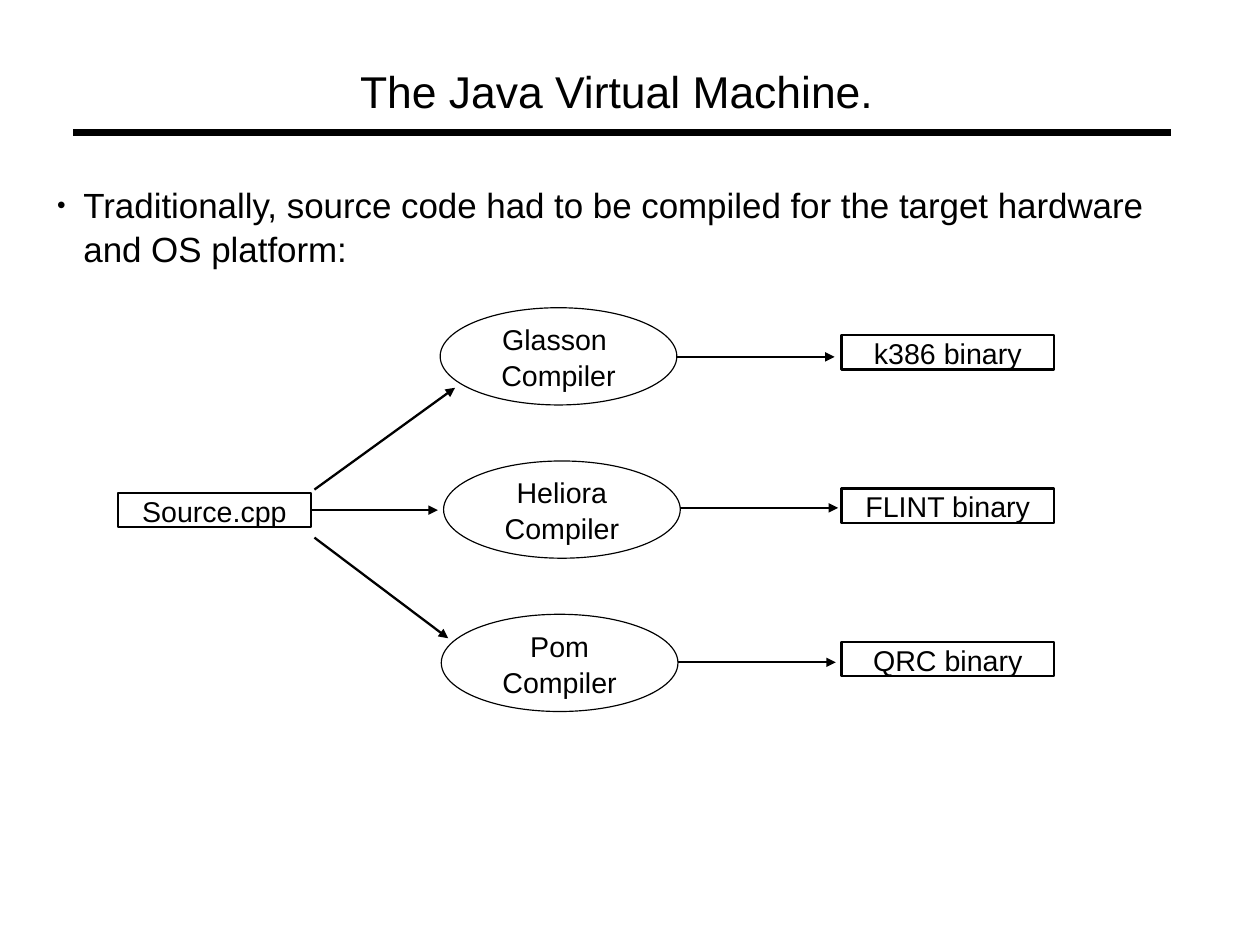
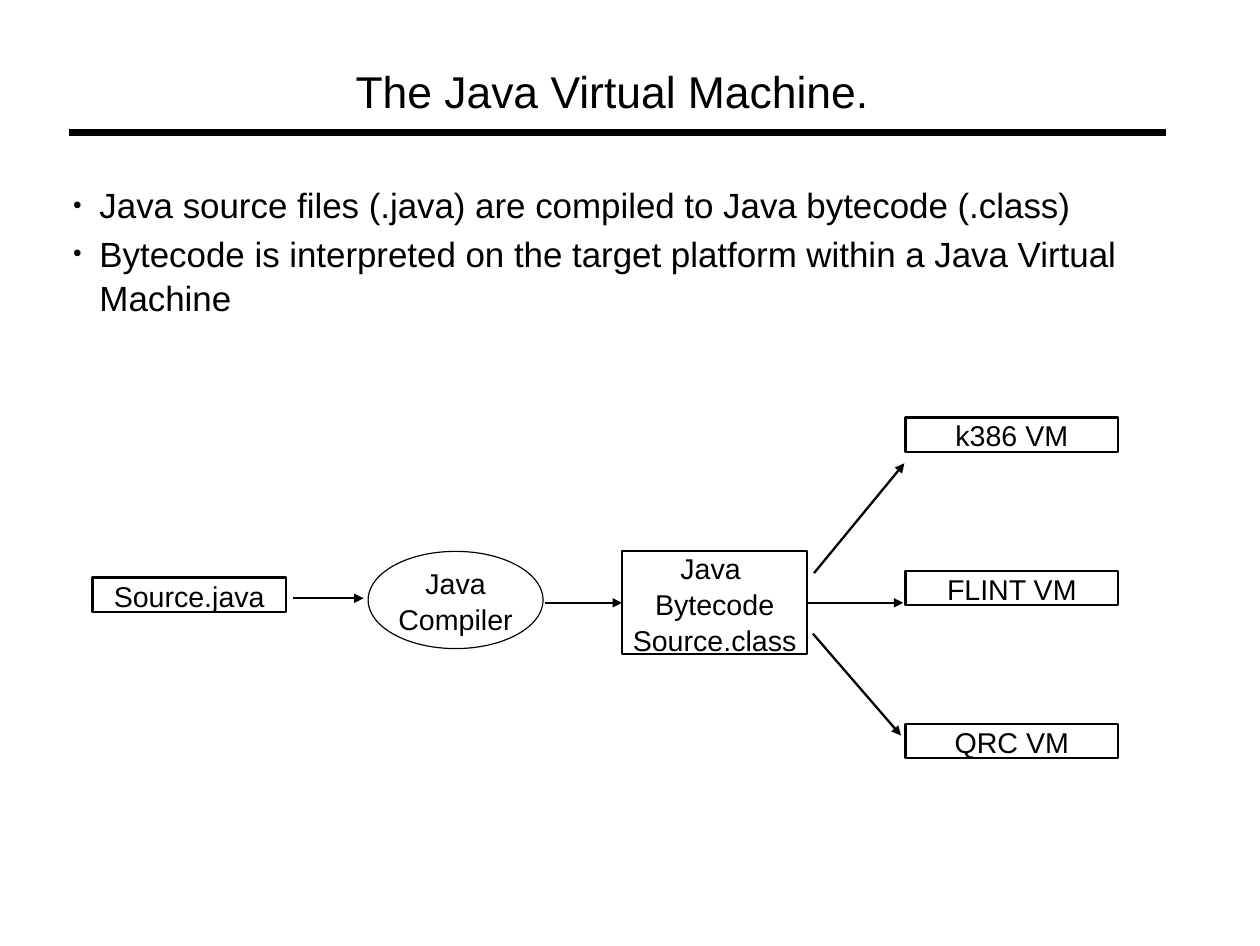
from lxml.etree import SubElement
from pptx import Presentation
from pptx.dml.color import RGBColor
from pptx.enum.shapes import MSO_CONNECTOR as Connector, MSO_SHAPE as Shape
from pptx.enum.text import MSO_ANCHOR as Anchor, MSO_AUTO_SIZE as AutoSize, PP_ALIGN as Align
from pptx.oxml.ns import qn
from pptx.util import Inches, Pt

BLACK = RGBColor(0x00, 0x00, 0x00)
WHITE = RGBColor(0xFF, 0xFF, 0xFF)
FONT = "Arial"
TITLE_ONLY = 5
LEFT, RIGHT = 1, 3  # connection sites of a rectangle

TITLE = {"size": Pt(28), "name": FONT, "bold": False}
BODY = {"size": Pt(22), "name": FONT}
LABEL = {"size": Pt(18), "name": FONT}
FRAME = {"auto_size": AutoSize.NONE, "margin_left": 0, "margin_right": 0,
         "margin_top": 0, "margin_bottom": 0}
LINE_SPACING = 1.05
THIN, MEDIUM, THICK = 0.75, 1.45, 4.31

BOX_HEIGHT = 0.3
OVAL_HEIGHT = 0.85
ROW_GAP = 1.34


class SlideBuilder:
    """Holds the shared style and the slide being filled."""

    def __init__(self, deck):
        self.deck = deck
        self.slide = None

    def fill_text(self, shape, lines, font, align, anchor, wrap):
        frame = shape.text_frame
        settings = {**FRAME, "vertical_anchor": anchor, "word_wrap": wrap}
        for name, value in settings.items():
            setattr(frame, name, value)
        for index, line in enumerate(lines):
            para = frame.add_paragraph() if index else frame.paragraphs[0]
            para.alignment = align
            para.line_spacing = LINE_SPACING
            span = para.add_run()
            span.text = line
            for name, value in font.items():
                setattr(span.font, name, value)
            span.font.color.rgb = BLACK
        return frame

    def start(self, title, left):
        """Open a slide with its title and the rule below it."""
        self.slide = self.deck.slides.add_slide(self.deck.slide_layouts[TITLE_ONLY])
        box = self.slide.shapes.title
        place = {"left": left + 2.51, "top": 0.54, "width": 4.53, "height": 0.47}
        for name, value in place.items():
            setattr(box, name, Inches(value))
        self.fill_text(box, [title], TITLE, Align.LEFT, Anchor.TOP, False)
        self.line((left, 1.16), (left + 9.6, 1.16), THICK)

    def bullets(self, left, width, height, lines):
        box = self.slide.shapes.add_textbox(
            Inches(left), Inches(1.59), Inches(width), Inches(height))
        frame = self.fill_text(box, lines, BODY, Align.LEFT, Anchor.TOP, True)
        for para in frame.paragraphs:
            para.space_before = Pt(2.8)
            props = para._p.get_or_add_pPr()
            props.set("marL", str(Inches(0.23)))
            props.set("indent", str(-Inches(0.23)))
            SubElement(props, qn("a:buSzPct"), val="70000")
            SubElement(props, qn("a:buFont"), typeface=FONT)
            SubElement(props, qn("a:buChar"), char="•")

    def node(self, kind, left, top, width, height, lines, weight):
        shape = self.slide.shapes.add_shape(
            kind, Inches(left), Inches(top), Inches(width), Inches(height))
        shape.shadow.inherit = False
        shape.fill.solid()
        shape.fill.fore_color.rgb = WHITE
        shape.line.color.rgb = BLACK
        shape.line.width = Pt(weight)
        self.fill_text(shape, lines, LABEL, Align.CENTER, Anchor.MIDDLE, False)
        return shape

    def box(self, left, top, width, *lines, height=BOX_HEIGHT):
        return self.node(Shape.RECTANGLE, left, top, width, height, lines, MEDIUM)

    def oval(self, left, top, width, *lines):
        return self.node(Shape.OVAL, left, top, width, OVAL_HEIGHT, lines, THIN)

    def line(self, start, end, weight):
        line = self.slide.shapes.add_connector(
            Connector.STRAIGHT, *(Inches(value) for value in (*start, *end)))
        line.line.color.rgb = BLACK
        line.line.width = Pt(weight)
        SubElement(line._element.spPr, qn("a:effectLst"))
        return line

    def arrow(self, start, end, source=None, target=None):
        arrow = self.line(start, end, MEDIUM)
        outline = arrow._element.spPr.find(qn("a:ln"))
        SubElement(outline, qn("a:tailEnd"), type="triangle")
        if source:
            arrow.begin_connect(source, RIGHT)
        if target:
            arrow.end_connect(target, LEFT)


def build_compilers(page):
    page.start("The Java Virtual Machine.", 0.64)
    page.bullets(0.5, 9.86, 0.73, [
        "Traditionally, source code had to be compiled for the target hardware "
        "and OS platform:"])

    # Source file, compilers and their binaries
    source = page.box(1.03, 4.31, 1.69, "Source.cpp")
    rows = [("Glasson ", "k386 binary", 3.85, 3.12),
            ("Heliora", "FLINT binary", 3.88, 4.44),
            ("Pom", "QRC binary", 3.86, 5.79)]
    for index, (system, binary, left, arrow_y) in enumerate(rows):
        drop = index * ROW_GAP
        page.box(7.36, 2.93 + drop, 1.86, binary)
        page.oval(left, 2.69 + drop, 2.07, system, "Compiler")
        page.arrow((left + 2.07, arrow_y), (left + 3.45, arrow_y))

    # Arrows from the source file
    page.arrow((2.75, 4.28), (3.98, 3.39))
    page.arrow((2.72, 4.46), (3.83, 4.46), source=source)
    page.arrow((2.75, 4.7), (3.92, 5.58))


def build_bytecode(page):
    page.start("The Java Virtual Machine.", 0.6)
    page.bullets(0.64, 9.58, 1.14, [
        "Java source files (.java) are compiled to Java bytecode (.class)",
        "Bytecode is interpreted on the target platform within a Java Virtual Machine"])

    # Source file, compiler and bytecode
    page.box(0.81, 5.05, 1.69, "Source.java")
    page.oval(3.22, 4.82, 1.53, "Java", "Compiler")
    bytecode = page.box(5.44, 4.82, 1.62, "Java ", "Bytecode", "Source.class",
                        height=0.9)
    page.arrow((2.56, 5.23), (3.18, 5.23))
    page.arrow((4.77, 5.27), (5.44, 5.27), target=bytecode)

    # Virtual machines
    for index, machine in enumerate(["k386 VM", "FLINT VM", "QRC VM"]):
        page.box(7.92, 3.65 + index * ROW_GAP, 1.86, machine)
    page.arrow((7.12, 5.01), (7.91, 4.05))
    page.arrow((7.06, 5.27), (7.9, 5.27), source=bytecode)
    page.arrow((7.11, 5.54), (7.88, 6.43))


def main():
    deck = Presentation()
    deck.slide_width = Inches(11.02)
    deck.slide_height = Inches(8.27)
    page = SlideBuilder(deck)
    build_compilers(page)
    build_bytecode(page)
    deck.save("out.pptx")


if __name__ == "__main__":
    main()
